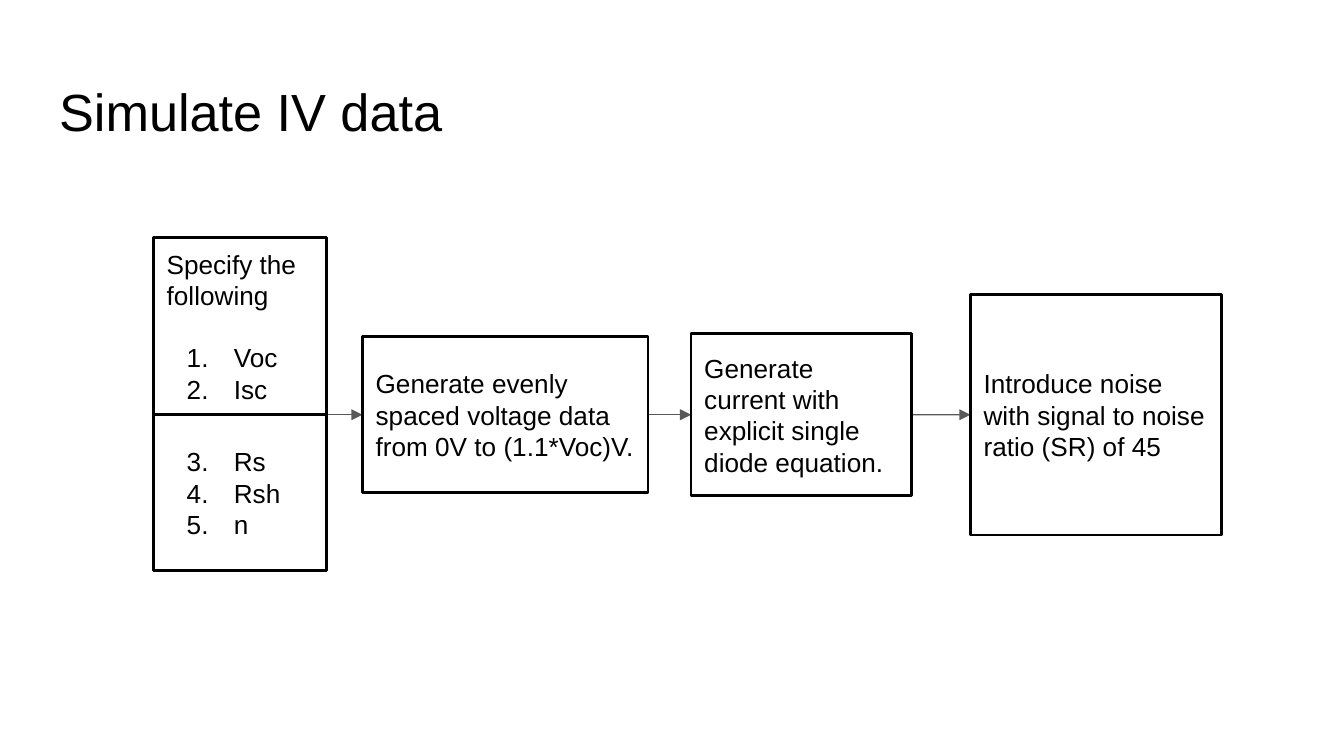
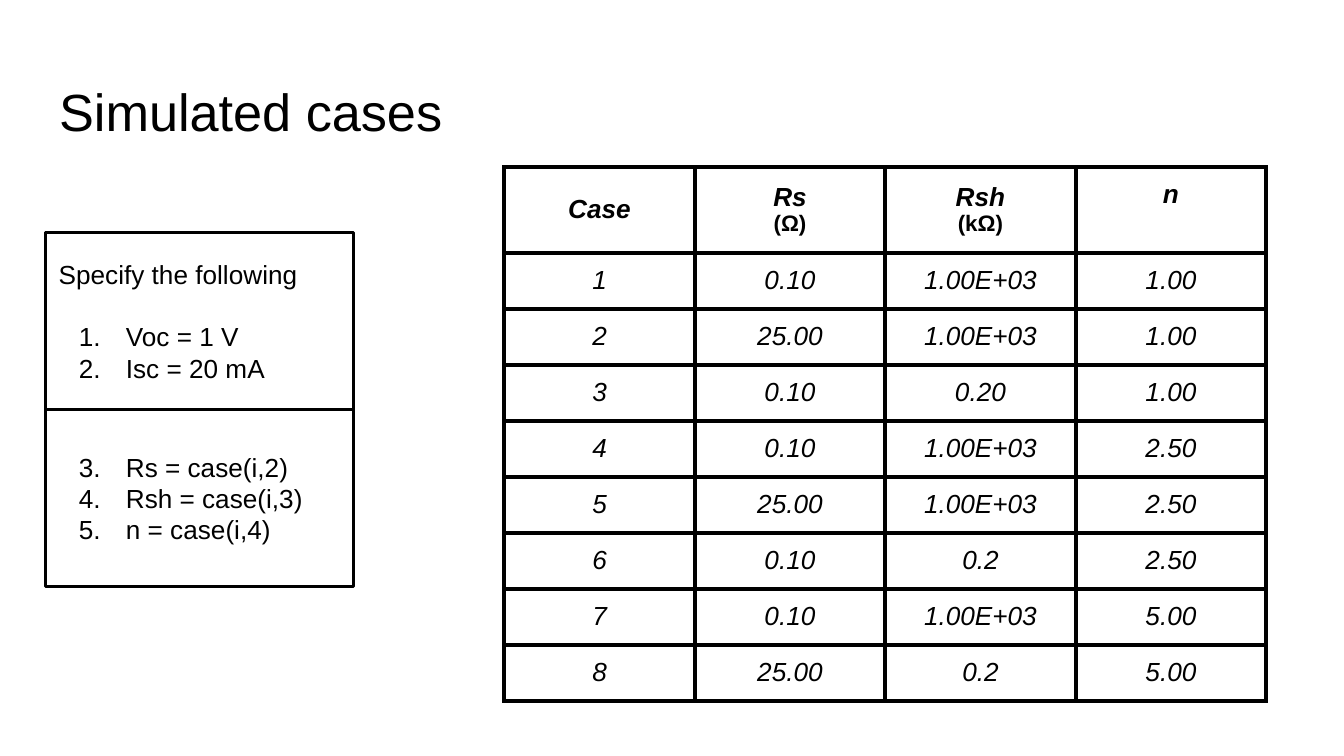
from dataclasses import dataclass

from lxml.etree import SubElement
from pptx import Presentation
from pptx.dml.color import RGBColor as RGB
from pptx.enum.shapes import MSO_CONNECTOR as CONN, MSO_SHAPE as SHAPE
from pptx.enum.text import MSO_ANCHOR as ANCHOR, PP_ALIGN as ALIGN
from pptx.oxml.ns import qn
from pptx.util import Cm, Pt


@dataclass(frozen=True)
class Theme:
    font: str = "Arial"
    ink: str = "000000"
    arrow: str = "595959"
    title: float = 28
    body: float = 14
    unit: float = 12
    box_line: float = 1.5
    arrow_line: float = 0.75
    border: float = 2.25
    lead_gap: float = 16.5
    cell_spacing: float = 0.94
    inset: float = 0.25


T = Theme()
FLOW_Y = 7.84
SITE_LEFT, SITE_BOTTOM, SITE_RIGHT = 1, 2, 3

STEPS = [
    (6.85, 5.4, 2.95, "Generate evenly spaced voltage data from 0V to (1.1*Voc)V."),
    (13.06, 4.17, 3.07, "Generate current with explicit single diode equation."),
    (18.34, 4.75, 4.55, "Introduce noise with signal to noise ratio (SR) of 45"),
]
LEAD = "Specify the following"
HEADERS = [("Case", ""), ("Rs", "(Ω)"), ("Rsh", "(kΩ)"), ("n", "")]
CASES = [
    ("0.10", "1.00E+03", "1.00"),
    ("25.00", "1.00E+03", "1.00"),
    ("0.10", "0.20", "1.00"),
    ("0.10", "1.00E+03", "2.50"),
    ("25.00", "1.00E+03", "2.50"),
    ("0.10", "0.2", "2.50"),
    ("0.10", "1.00E+03", "5.00"),
    ("25.00", "0.2", "5.00"),
]


def set_attrs(obj, **values):
    for name, value in values.items():
        setattr(obj, name, value)


def set_insets(obj):
    set_attrs(obj, **{f"margin_{side}": Cm(T.inset)
                      for side in ("left", "right", "top", "bottom")})


def write(tf, i, text, size=T.body, **font):
    p = tf.paragraphs[0] if i == 0 else tf.add_paragraph()
    p.alignment = ALIGN.LEFT
    r = p.add_run()
    r.text = text
    set_attrs(r.font, name=T.font, size=Pt(size), **font)
    r.font.color.rgb = RGB.from_string(T.ink)
    return p


def write_cell(cell, i, text, size=T.body, **font):
    p = write(cell.text_frame, i, text, size, **font)
    set_attrs(p, alignment=ALIGN.CENTER, line_spacing=T.cell_spacing)


def number(p, start):
    pPr = p._p.get_or_add_pPr()
    pPr.set("marL", str(Cm(1.27)))
    pPr.set("indent", str(-Cm(0.89)))
    clr = SubElement(pPr, qn("a:buClr"))
    SubElement(clr, qn("a:srgbClr"), val=T.ink)
    SubElement(pPr, qn("a:buAutoNum"), type="arabicPeriod", startAt=str(start))


def add_title_slide(prs, title):
    s = prs.slides.add_slide(prs.slide_layouts[6])
    tf = s.shapes.add_textbox(Cm(0.87), Cm(1.24), Cm(23.67), Cm(1.6)).text_frame
    tf.word_wrap = True
    set_insets(tf)
    write(tf, 0, title, T.title)
    return s


def add_box(s, x, y, w, h, lead="", items=(), start=1):
    sp = s.shapes.add_shape(SHAPE.RECTANGLE, Cm(x), Cm(y), Cm(w), Cm(h))
    sp.shadow.inherit = False
    sp.fill.background()
    sp.line.color.rgb = RGB.from_string(T.ink)
    sp.line.width = Pt(T.box_line)
    tf = sp.text_frame
    set_attrs(tf, word_wrap=True, vertical_anchor=ANCHOR.MIDDLE)
    set_insets(tf)
    if lead:
        p = write(tf, 0, lead)
        if items:
            p.space_after = Pt(T.lead_gap)
    for i, item in enumerate(items, 1 if lead else 0):
        number(write(tf, i, item), start)
    return sp


def add_spec(s, x, y, w, heights, given, varied):
    top = add_box(s, x, y, w, heights[0], LEAD, given)
    add_box(s, x, y + heights[0], w, heights[1], items=varied, start=len(given) + 1)
    return top


def add_arrow(s, src, site, dst):
    cx = s.shapes.add_connector(CONN.STRAIGHT, 0, 0, 0, 0)
    cx.begin_connect(src, site)
    cx.end_connect(dst, SITE_LEFT)
    cx.line.color.rgb = RGB.from_string(T.arrow)
    cx.line.width = Pt(T.arrow_line)
    SubElement(cx.line._get_or_add_ln(), qn("a:tailEnd"), type="triangle")
    SubElement(cx._element.spPr, qn("a:effectLst"))
    s.shapes._spTree.insert(2, cx._element)


def style_cell(cell):
    cell.vertical_anchor = ANCHOR.MIDDLE
    set_insets(cell)
    tcPr = cell._tc.get_or_add_tcPr()
    for side in ("L", "R", "T", "B"):
        ln = SubElement(tcPr, qn(f"a:ln{side}"), w=str(Pt(T.border)))
        fill = SubElement(ln, qn("a:solidFill"))
        SubElement(fill, qn("a:srgbClr"), val=T.ink)
    cell.fill.background()


def add_case_table(s, x, y, col_w, row_h):
    rows, cols = len(CASES) + 1, len(HEADERS)
    tbl = s.shapes.add_table(rows, cols, Cm(x), Cm(y),
                             Cm(col_w * cols), Cm(row_h * rows)).table
    set_attrs(tbl, first_row=False, horz_banding=False)
    for col in tbl.columns:
        col.width = Cm(col_w)
    for row in tbl.rows:
        row.height = Cm(row_h)
    for cell in tbl.iter_cells():
        style_cell(cell)
    for c, (name, unit) in enumerate(HEADERS):
        cell = tbl.cell(0, c)
        write_cell(cell, 0, name, bold=True, italic=True)
        if unit:
            write_cell(cell, 1, unit, T.unit, bold=True, italic=False)
    tbl.cell(0, cols - 1).margin_bottom = Cm(0.82)
    for i, case in enumerate(CASES, 1):
        for c, value in enumerate((str(i), *case)):
            write_cell(tbl.cell(i, c), 0, value, bold=False, italic=True)


def add_simulation_slide(prs):
    s = add_title_slide(prs, "Simulate IV data")
    steps = [add_box(s, x, FLOW_Y - h / 2, w, h, text) for x, w, h, text in STEPS]
    spec = add_spec(s, 2.9, FLOW_Y - 3.35, 3.28, (3.35, 2.95),
                    ["Voc", "Isc"], ["Rs", "Rsh", "n"])
    add_arrow(s, spec, SITE_BOTTOM, steps[0])
    for src, dst in zip(steps, steps[1:]):
        add_arrow(s, src, SITE_RIGHT, dst)


def add_cases_slide(prs):
    s = add_title_slide(prs, "Simulated cases")
    add_spec(s, 0.86, 4.39, 5.82, (3.35, 3.35),
             ["Voc = 1 V", "Isc = 20 mA"],
             ["Rs = case(i,2)", "Rsh = case(i,3)", "n = case(i,4)"])
    add_case_table(s, 9.53, 3.16, 3.6, 0.89)


def main():
    prs = Presentation()
    set_attrs(prs, slide_width=Cm(25.4), slide_height=Cm(14.29))
    add_simulation_slide(prs)
    add_cases_slide(prs)
    prs.save("out.pptx")


if __name__ == "__main__":
    main()
